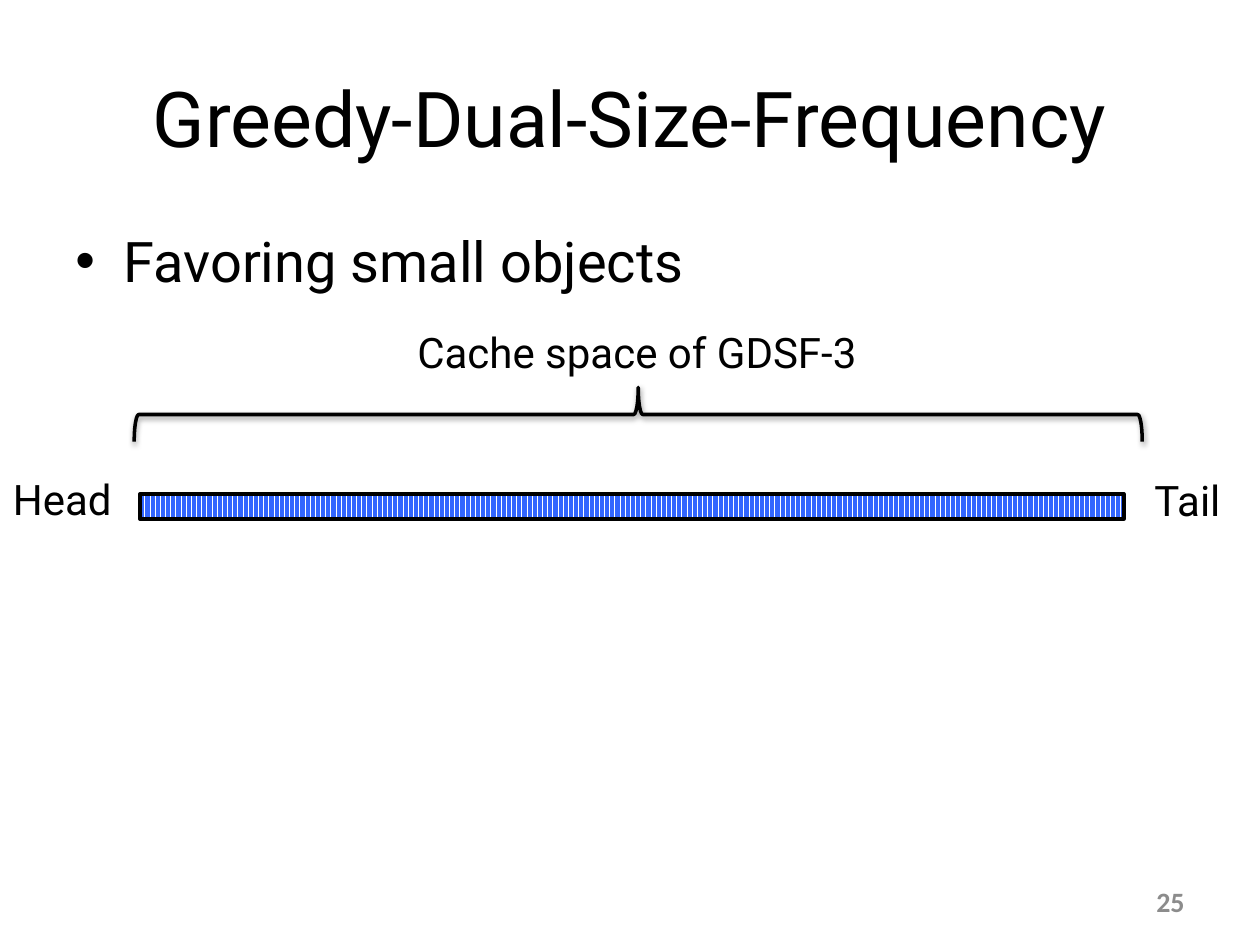
"""Build the Greedy-Dual-Size-Frequency cache slide."""
from lxml import etree
from pptx import Presentation
from pptx.dml.color import RGBColor
from pptx.enum.dml import MSO_PATTERN
from pptx.enum.shapes import MSO_SHAPE
from pptx.enum.text import MSO_ANCHOR, PP_ALIGN
from pptx.oxml import parse_xml
from pptx.oxml.ns import nsdecls, qn
from pptx.util import Inches, Pt

BLACK = RGBColor(0x00, 0x00, 0x00)
WHITE = RGBColor(0xFF, 0xFF, 0xFF)
BLUE = RGBColor(0x33, 0x66, 0xFF)
GRAY = RGBColor(0x8C, 0x8C, 0x8C)
LEFT, CENTER, RIGHT = PP_ALIGN.LEFT, PP_ALIGN.CENTER, PP_ALIGN.RIGHT
TOP, MIDDLE = MSO_ANCHOR.TOP, MSO_ANCHOR.MIDDLE
BRACE, RECT = MSO_SHAPE.LEFT_BRACE, MSO_SHAPE.RECTANGLE
STRIPES = MSO_PATTERN.DARK_VERTICAL


def write(shape, text, align, anchor, **style):
    frame = shape.text_frame
    frame.word_wrap = True
    frame.vertical_anchor = anchor
    para = frame.paragraphs[0]
    para.alignment = align
    run = para.add_run()
    run.text = text
    look = {"name": "Roboto", "size": Pt(24), "bold": False} | style
    color = look.pop("color", BLACK)
    for key, value in look.items():
        setattr(run.font, key, value)
    run.font.color.rgb = color
    return para


deck = Presentation()
deck.slide_width, deck.slide_height = Inches(10), Inches(7.5)
slide = deck.slides.add_slide(deck.slide_layouts[5])
shapes = slide.shapes

title = shapes.title
title.left, title.top = Inches(0.5), Inches(0.3)
title.width, title.height = Inches(9), Inches(1.25)
write(title, "Greedy-Dual-Size-Frequency", CENTER, MIDDLE, size=Pt(44))

labels = [
    ("Favoring small objects", (0.5, 1.75, 9, 4.95), LEFT, TOP, {"size": Pt(32)}),
    ("25", (7.17, 6.95, 2.33, 0.4), RIGHT, MIDDLE,
     {"name": "Calibri", "size": Pt(16), "bold": True, "color": GRAY}),
    ("Cache space of GDSF-3", (2.77, 2.54, 4.57, 0.5), CENTER, TOP, {}),
    ("Head", (-0.77, 3.71, 2.53, 0.5), CENTER, TOP, {}),
    ("Tail", (8.16, 3.72, 2.53, 0.5), CENTER, TOP, {}),
]
paras = {}
for text, place, align, anchor, style in labels:
    box = shapes.add_textbox(*map(Inches, place))
    paras[text] = write(box, text, align, anchor, **style)

props = paras["Favoring small objects"]._p.get_or_add_pPr()
props.set("marL", str(Inches(0.38)))
props.set("indent", str(-Inches(0.38)))
etree.SubElement(props, qn("a:buFont"), typeface="Arial")
etree.SubElement(props, qn("a:buChar"), char="•")

brace = shapes.add_shape(BRACE, *map(Inches, (4.85, -0.71, 0.43, 8)))
brace.rotation = 90
brace.fill.background()
cache = shapes.add_shape(RECT, *map(Inches, (1.11, 3.92, 7.81, 0.2)))
cache.fill.patterned()
cache.fill.pattern = STRIPES
cache.fill.fore_color.rgb = BLUE
cache.fill.back_color.rgb = WHITE
for shape in (brace, cache):
    shape.line.color.rgb = BLACK
    shape.line.width = Pt(2)
    shape.shadow.inherit = False

shade = parse_xml(
    f'<a:outerShdw {nsdecls("a")} blurRad="{Pt(3.1)}" dist="{Pt(1.6)}" '
    'dir="5400000" rotWithShape="0"><a:srgbClr val="000000">'
    '<a:alpha val="38000"/></a:srgbClr></a:outerShdw>')
brace._element.spPr.find(qn("a:effectLst")).append(shade)

deck.save("out.pptx")
